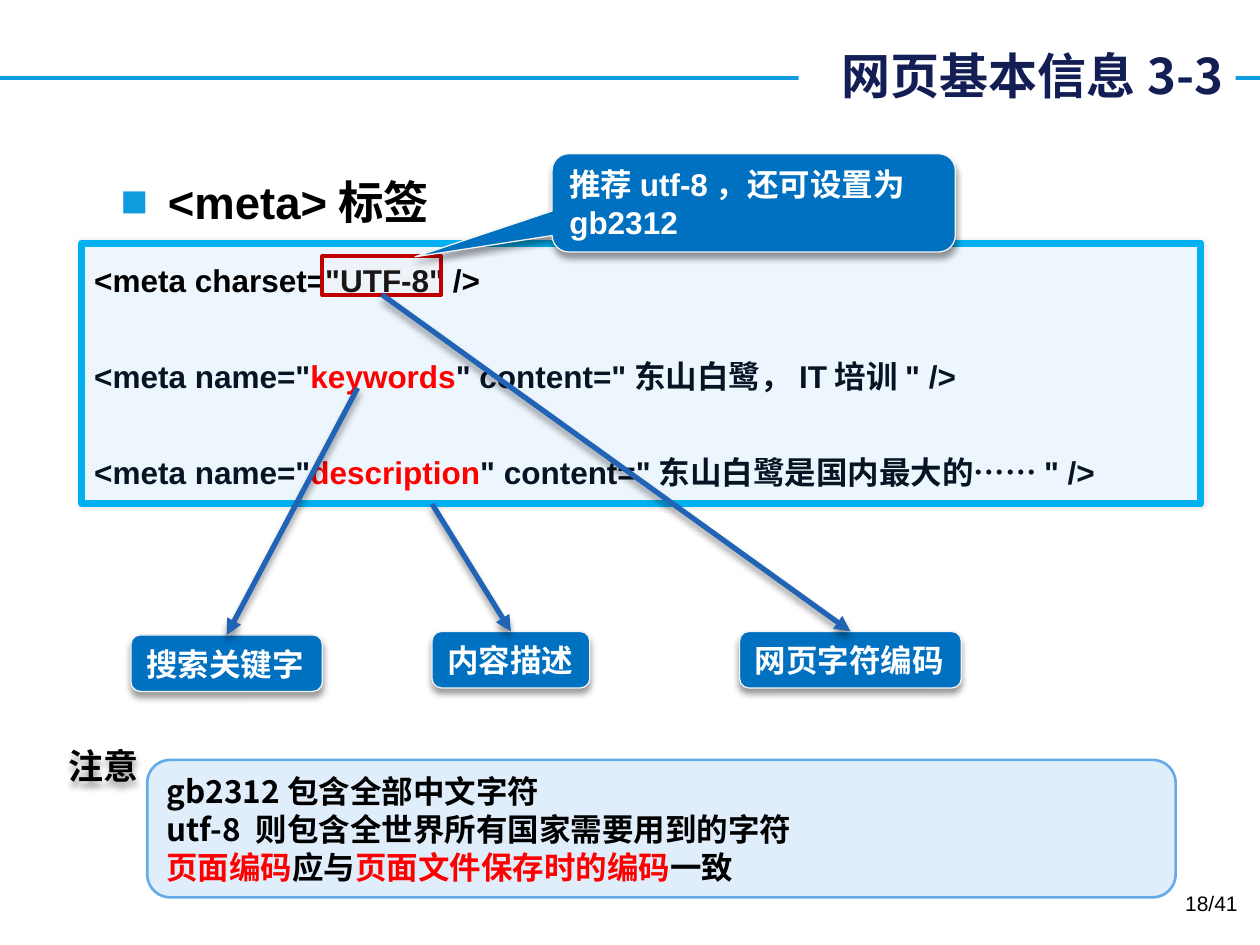
from lxml import etree
from pptx import Presentation
from pptx.dml.color import RGBColor
from pptx.enum.shapes import MSO_CONNECTOR, MSO_SHAPE
from pptx.enum.text import MSO_ANCHOR, PP_ALIGN
from pptx.oxml import parse_xml
from pptx.oxml.ns import nsdecls, qn
from pptx.util import Cm, Pt

LINE = MSO_CONNECTOR.STRAIGHT
RECT, ROUND = MSO_SHAPE.RECTANGLE, MSO_SHAPE.ROUNDED_RECTANGLE
CALL = MSO_SHAPE.ROUNDED_RECTANGULAR_CALLOUT
TOP, MID, LOW = MSO_ANCHOR.TOP, MSO_ANCHOR.MIDDLE, MSO_ANCHOR.BOTTOM
LEFT, RIGHT = PP_ALIGN.LEFT, PP_ALIGN.RIGHT

WHITE = RGBColor(0xFF, 0xFF, 0xFF)
BLACK = RGBColor(0x00, 0x00, 0x00)
RED = RGBColor(0xFF, 0x00, 0x00)
NAVY = RGBColor(0x12, 0x1E, 0x54)
INK = RGBColor(0x07, 0x14, 0x24)
SKY = RGBColor(0x0E, 0x9C, 0xDE)
CYAN = RGBColor(0x00, 0xB0, 0xF0)
BLUE = RGBColor(0x00, 0x70, 0xC0)
ARROW = RGBColor(0x21, 0x63, 0xB4)
PALE = RGBColor(0xED, 0xF5, 0xFD)
SOFT = RGBColor(0xE0, 0xEE, 0xFB)
EDGE = RGBColor(0x65, 0xAA, 0xE9)
GRAY = RGBColor(0xF2, 0xF2, 0xF2)
PINK = RGBColor(0xFF, 0xDD, 0xDD)
CRIMSON = RGBColor(0xC0, 0x00, 0x00)

SANS, HAN = "Arial", "Noto Sans CJK SC"
DROP = (40, 4, 3, 90)
GLOW = (10, 3, 0, 0)

# Each tag: box in cm, text, start of the arrow that points at it
TAGS = [
    ((2.64, 12.8, 3.86, 1.14), "搜索关键字", (7.21, 7.82)),
    ((8.71, 12.73, 3.18, 1.14), "内容描述", (8.71, 10.16)),
    ((14.91, 12.73, 4.47, 1.14), "网页字符编码", (7.7, 5.94)),
]
CODE = [
    [('<meta charset="UTF-8" />', BLACK)],
    [('<meta name="', INK), ("keywords", RED),
     ('" content="东山白鹭，IT培训" />', INK)],
    [('<meta name="', INK), ("description", RED),
     ('" content="东山白鹭是国内最大的……" />', INK)],
]
NOTE = [
    [("gb2312包含全部中文字符", BLACK)],
    [("utf-8 则包含全世界所有国家需要用到的字符", BLACK)],
    [("页面编码", RED), ("应与", BLACK),
     ("页面文件保存时的编码", RED), ("一致", BLACK)],
]


def put(item, values):
    for name, value in values.items():
        setattr(item, name, value)


def place(shape, box):
    names = ("left", "top", "width", "height")
    put(shape, dict(zip(names, map(Cm, box))))


def shade(shape, cast=None):
    """Replace the theme effect by a shadow (alpha, blur, distance, angle) or none."""
    props = shape._element.spPr
    for old in props.findall(qn("a:effectLst")):
        props.remove(old)
    inner = ""
    if cast:
        alpha, blur, dist, turn = cast
        inner = (f'<a:outerShdw blurRad="{Pt(blur)}" dist="{Pt(dist)}" '
                 f'dir="{turn * 60000}" algn="ctr" rotWithShape="0">'
                 f'<a:srgbClr val="000000"><a:alpha val="{alpha * 1000}"/>'
                 '</a:srgbClr></a:outerShdw>')
    props.append(parse_xml(
        f'<a:effectLst {nsdecls("a")}>{inner}</a:effectLst>'))


def write(shape, rows, size, face=SANS, bold=True, anchor=TOP, wrap=True, **para):
    """Fill a shape with rows of (text, colour) runs."""
    frame = shape.text_frame
    put(frame, {"word_wrap": wrap, "vertical_anchor": anchor})
    for i, row in enumerate(rows):
        line = frame.add_paragraph() if i else frame.paragraphs[0]
        put(line, {"alignment": LEFT, **para})
        if not i:
            line.space_before = Pt(0)
        for text, color in row:
            run = line.add_run()
            run.text = text
            put(run.font, {"size": Pt(size), "name": face, "bold": bold})
            run.font.color.rgb = color
            east = etree.SubElement(run._r.get_or_add_rPr(), qn("a:ea"))
            east.set("typeface", HAN)


def panel(slide, kind, box, fill, edge, width, adjust=(), cast=None):
    shape = slide.shapes.add_shape(kind, *map(Cm, box))
    for i, value in enumerate(adjust):
        shape.adjustments[i] = value
    shape.fill.solid()
    shape.fill.fore_color.rgb = fill
    shape.line.color.rgb = edge
    shape.line.width = Pt(width)
    shade(shape, cast)
    return shape


def stroke(slide, start, end, color, width, cast=None):
    line = slide.shapes.add_connector(LINE, *map(Cm, start + end))
    line.line.color.rgb = color
    line.line.width = Pt(width)
    shade(line, cast)
    return line


def label(slide, box, text, size, **style):
    shape = slide.shapes.add_textbox(*map(Cm, box))
    write(shape, [[(text, BLACK)]], size, **style)
    return shape


def header(slide, box):
    left, top, width, height = box
    rule = stroke(slide, (0, 1.57), (25.4, 1.57), SKY, 2.25)
    slide.shapes._spTree.insert(2, rule._element)
    title = slide.shapes.title
    place(title, box)
    title.fill.solid()
    title.fill.fore_color.rgb = WHITE
    write(title, [[("网页基本信息3-3", NAVY)]], 28, HAN,
          anchor=MID, alignment=RIGHT)


def topic(slide, box):
    body = slide.placeholders[1]
    place(body, box)
    write(body, [[("<meta>标签", BLACK)]], 26)
    props = body.text_frame.paragraphs[0]._p.get_or_add_pPr()
    put_in = {"marL": Cm(0.95), "indent": -Cm(0.95)}
    for name, value in put_in.items():
        props.set(name, str(int(value)))
    tint = etree.SubElement(props, qn("a:buClr"))
    etree.SubElement(tint, qn("a:srgbClr")).set("val", str(SKY))
    etree.SubElement(props, qn("a:buFont")).set("typeface", SANS)
    etree.SubElement(props, qn("a:buChar")).set("char", "■")


def code(slide, box):
    """Listing with a frame around the charset value."""
    left, top = box[:2]
    shape = panel(slide, ROUND, box, PALE, CYAN, 4, (0,), GLOW)
    write(shape, CODE, 18, line_spacing=1.3, space_before=Pt(27))
    mark = (left + 4.85, top + 0.26, 2.39, 0.79)
    frame = panel(slide, RECT, mark, PINK, CRIMSON, 2.25)
    tint = frame._element.spPr.find(qn("a:solidFill"))[0]
    etree.SubElement(tint, qn("a:alpha")).set("val", "10000")


def tag(slide, box, text, start):
    left, top, width, height = box
    shape = panel(slide, ROUND, box, BLUE, GRAY, 0.75, cast=DROP)
    write(shape, [[(text, WHITE)]], 18, anchor=LOW, wrap=False)
    arrow = stroke(slide, start, (left + width / 2, top), ARROW, 3, DROP)
    tip = etree.SubElement(arrow.line._get_or_add_ln(), qn("a:tailEnd"))
    tip.set("type", "triangle")


def hint(slide, box):
    shape = panel(slide, CALL, box, BLUE, GRAY, 0.75,
                  (-0.84, 0.55, 0.17), DROP)
    write(shape, [[("推荐utf-8，还可设置为gb2312", WHITE)]], 18, anchor=LOW)


def note(slide, box):
    left, top = box[:2]
    shape = panel(slide, ROUND, box, SOFT, EDGE, 1.5)
    write(shape, NOTE, 18, HAN, anchor=MID)
    head = label(slide, (left - 1.83, top - 0.44, 1.96, 1.12), "注意", 20,
                 face=HAN, anchor=MID, wrap=False)
    shade(head, DROP)


def main():
    deck = Presentation()
    put(deck, {"slide_width": Cm(25.4), "slide_height": Cm(19.05)})
    slide = deck.slides.add_slide(deck.slide_layouts[1])
    header(slide, (16.1, 0.79, 8.81, 1.45))
    topic(slide, (2.18, 3.38, 21.23, 14.3))
    code(slide, (1.65, 4.9, 22.56, 5.26))
    for item in TAGS:
        tag(slide, *item)
    hint(slide, (11.13, 3.1, 8.13, 1.98))
    note(slide, (2.97, 15.32, 20.73, 2.77))
    label(slide, (19.28, 17.83, 5.92, 1.02), "18/41", 12,
          bold=False, alignment=RIGHT)
    deck.save("out.pptx")


if __name__ == "__main__":
    main()
